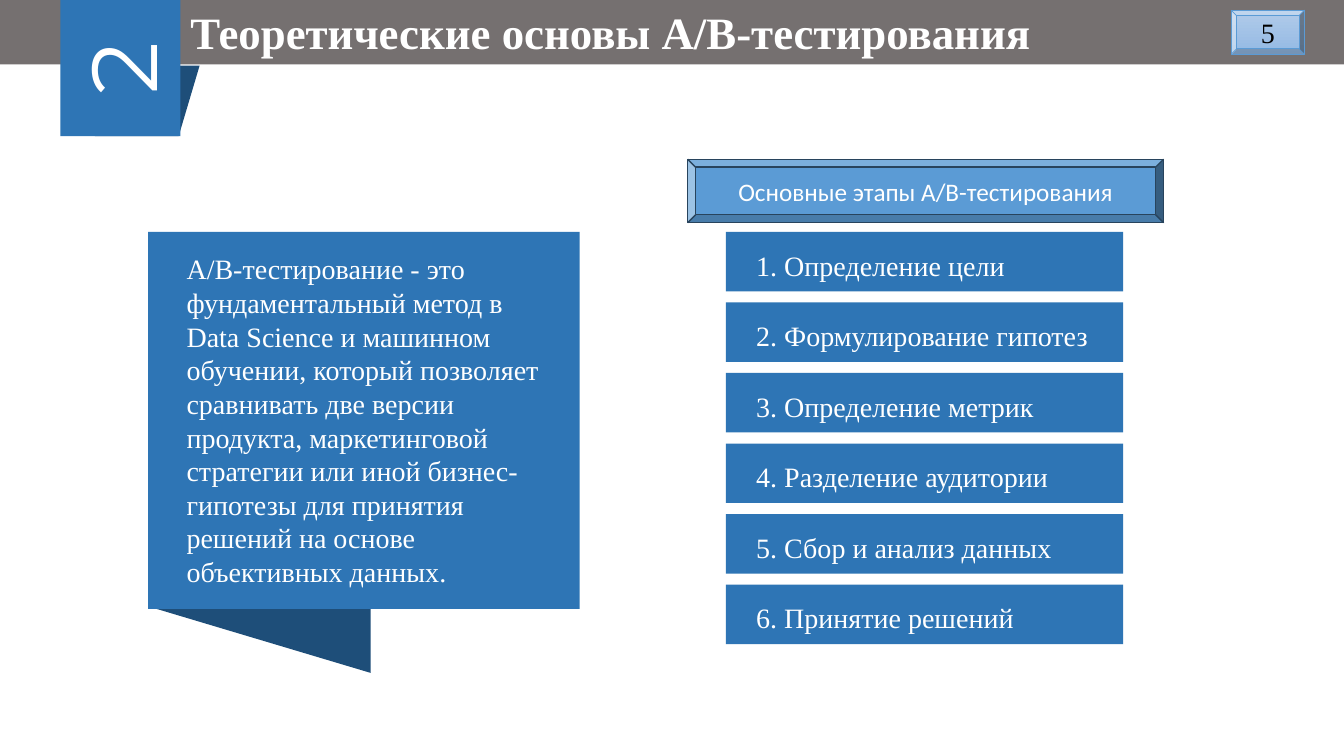
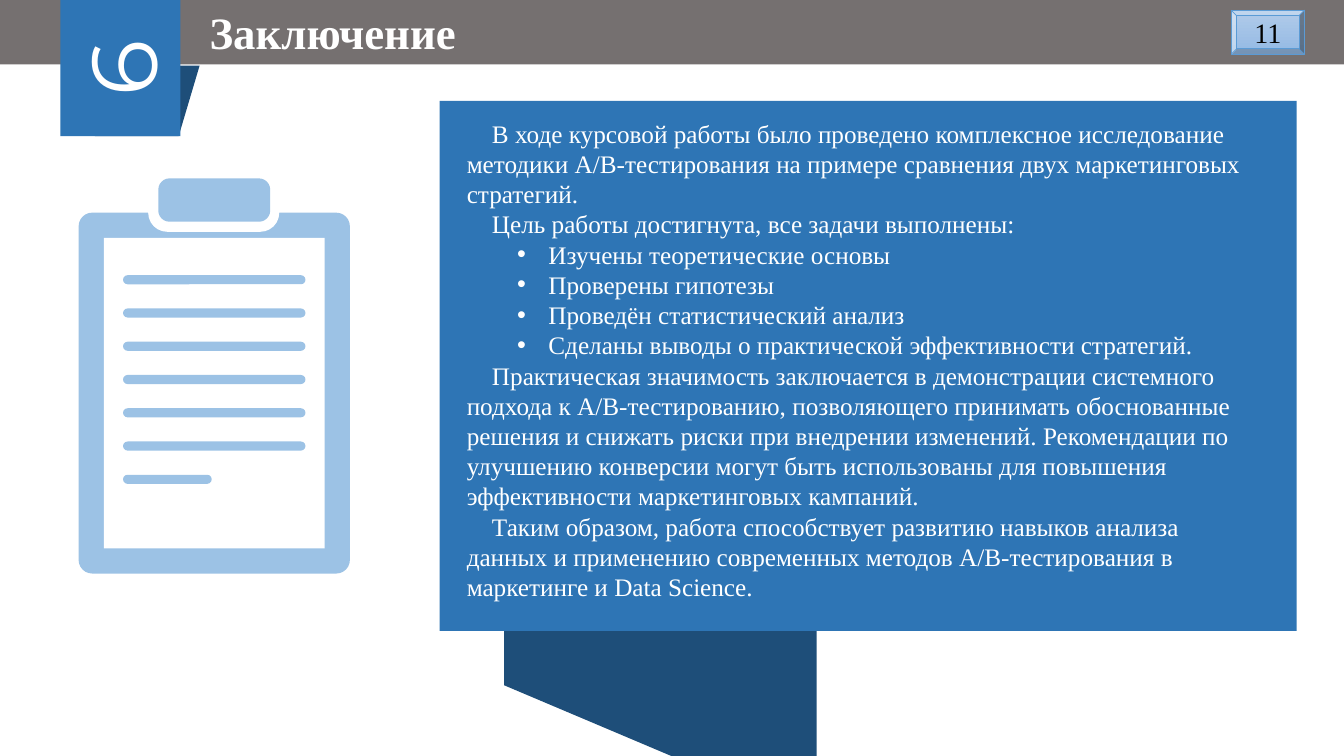
import pptx
import pptx.util
import pptx.dml.color
import pptx.enum.shapes
import pptx.enum.text
import lxml.etree

RGB = pptx.dml.color.RGBColor
KIND = pptx.enum.shapes.MSO_SHAPE
ALIGN = pptx.enum.text.PP_ALIGN
ANCHOR = pptx.enum.text.MSO_ANCHOR

SCALE = 9144
WIDE, HIGH = 1333, 750

WHITE = RGB(0xFF, 0xFF, 0xFF)
BLACK = RGB(0x00, 0x00, 0x00)
GREY = RGB(0x75, 0x70, 0x70)
BLUE = RGB(0x2E, 0x75, 0xB5)
DARK = RGB(0x1E, 0x4E, 0x79)
MID = RGB(0x5B, 0x9B, 0xD5)
EDGE = RGB(0x28, 0x44, 0x5D)
PALE = RGB(0x9C, 0xC2, 0xE5)
FADE = RGB(0xB1, 0xCB, 0xE9), RGB(0x93, 0xB9, 0xE4)

SERIF = "Times New Roman"
HEAD = dict(name=SERIF, size=32, color=WHITE, bold=True)
BODY = dict(name=SERIF, size=20, color=WHITE)
SMALL = dict(name=SERIF, size=18, color=WHITE)
LABEL = dict(name="Calibri", size=18, color=WHITE)
DIGIT = dict(name="Montserrat", size=66, color=WHITE)
PAGE = dict(name=SERIF, size=20, color=BLACK)

CENTER = dict(alignment=ALIGN.CENTER)
LOOSE = dict(line_spacing=1.2)
FIRST = dict(marL=0, indent=25)
POINT = dict(marL=81, indent=-31)

BASICS = dict(
    title="Теоретические основы A/B-тестирования", left=179, digit="2", page="5")
THEORY = (
    "A/B-тестирование - это фундаментальный метод в Data Science и машинном "
    "обучении, который позволяет сравнивать две версии продукта, маркетинговой "
    "стратегии или иной бизнес-гипотезы для принятия решений на основе "
    "объективных данных.")
STAGES = "Основные этапы A/B-тестирования"
STEPS = [
    "Определение цели",
    "Формулирование гипотез",
    "Определение метрик",
    "Разделение аудитории",
    "Сбор и анализ данных",
    "Принятие решений",
]

CLOSING = dict(title="Заключение", left=198, digit="6", page="11")
RESULTS = [
    (FIRST, "В ходе курсовой работы было проведено комплексное исследование "
            "методики A/B-тестирования на примере сравнения двух маркетинговых "
            "стратегий."),
    (FIRST, "Цель работы достигнута, все задачи выполнены:"),
    (POINT, "Изучены теоретические основы"),
    (POINT, "Проверены гипотезы"),
    (POINT, "Проведён статистический анализ"),
    (POINT, "Сделаны выводы о практической эффективности стратегий."),
    (FIRST, "Практическая значимость заключается в демонстрации системного "
            "подхода к A/B-тестированию, позволяющего принимать обоснованные "
            "решения и снижать риски при внедрении изменений. Рекомендации по "
            "улучшению конверсии могут быть использованы для повышения "
            "эффективности маркетинговых кампаний."),
    (FIRST, "Таким образом, работа способствует развитию навыков анализа данных "
            "и применению современных методов A/B-тестирования в маркетинге и "
            "Data Science."),
]

CLIP = [
    (KIND.ROUNDED_RECTANGLE, (78, 211, 269, 358), PALE, 0.05),
    (KIND.RECTANGLE, (103, 236, 219, 308), WHITE, None),
    (KIND.ROUNDED_RECTANGLE, (147, 167, 130, 63), WHITE, 0.3),
    (KIND.ROUNDED_RECTANGLE, (157, 177, 111, 43), PALE, 0.26),
]
LINES = [181] * 6 + [88]


def px(value):
    return pptx.util.Emu(round(value * SCALE))


def shape(slide, kind, box, fill, turn=0, curve=None, line=None):
    item = slide.shapes.add_shape(kind, *map(px, box))
    item.shadow.inherit = False
    item.rotation = turn
    if curve is not None:
        item.adjustments[0] = curve
    if isinstance(fill, tuple) and not isinstance(fill, RGB):
        item.fill.gradient()
        item.fill.gradient_angle = 270
        for stop, color in zip(item.fill.gradient_stops, fill):
            stop.color.rgb = color
    else:
        item.fill.solid()
        item.fill.fore_color.rgb = fill
    if line:
        item.line.color.rgb = line[0]
        item.line.width = pptx.util.Pt(line[1])
    else:
        item.line.fill.background()
    return item


def style(font, look):
    for key, value in look.items():
        if key == "color":
            font.color.rgb = value
        else:
            setattr(font, key, pptx.util.Pt(value) if key == "size" else value)


def indent(para, rule):
    props = para._p.get_or_add_pPr()
    for key, value in rule.items():
        props.set(key, str(px(value)))
    if rule is POINT:
        space = "{http://schemas.openxmlformats.org/drawingml/2006/main}"
        lxml.etree.SubElement(props, space + "buFont", typeface="Arial")
        lxml.etree.SubElement(props, space + "buChar", char="•")


def write(item, rows, look, form=None, inset=(10, 5, 10, 5), anchor=ANCHOR.MIDDLE):
    frame = item.text_frame
    frame.word_wrap = True
    frame.vertical_anchor = anchor
    for side, value in zip(("left", "top", "right", "bottom"), inset):
        setattr(frame, "margin_" + side, px(value))
    for index, (rule, text) in enumerate(rows):
        para = frame.add_paragraph() if index else frame.paragraphs[0]
        for key, value in {"alignment": ALIGN.LEFT, **(form or {})}.items():
            setattr(para, key, value)
        indent(para, rule)
        run = para.add_run()
        run.text = text
        style(run.font, look)


def plain(text):
    return [({}, text)]


def start(deck, title, left, digit, page):
    slide = deck.slides.add_slide(deck.slide_layouts[6])
    shape(slide, KIND.RECTANGLE, (0, 0, WIDE, 64), GREY)
    shape(slide, KIND.FLOWCHART_DATA, (94, 65, 104, 70), DARK, 180)
    tab = shape(slide, KIND.RECTANGLE, (52, 8, 135, 119), BLUE, 270)
    write(tab, plain(digit), DIGIT, CENTER)
    head = slide.shapes.add_textbox(*map(px, (left, 0, 870, 64)))
    write(head, plain(title), HEAD, anchor=ANCHOR.TOP)
    badge = shape(slide, KIND.BEVEL, (1221, 10, 73, 44), FADE, line=(MID, 0.5))
    write(badge, plain(page), PAGE, CENTER)
    return slide


def panel(slide, tail, box, rows, look, inset):
    shape(slide, KIND.FLOWCHART_DATA, tail, DARK, 270)
    card = shape(slide, KIND.RECTANGLE, box, BLUE)
    write(card, rows, look, inset=inset, anchor=ANCHOR.TOP)


def theory(deck):
    slide = start(deck, **BASICS)
    panel(slide, (93, 393, 329, 220), (147, 230, 428, 374),
          plain(THEORY), BODY, (38, 20, 32, 5))
    sign = shape(slide, KIND.BEVEL, (682, 158, 472, 63), MID, line=(EDGE, 1))
    write(sign, plain(STAGES), LABEL, CENTER)
    for index, step in enumerate(STEPS):
        row = shape(slide, KIND.RECTANGLE, (720, 230 + 70 * index, 394, 59), BLUE)
        write(row, plain(f"{index + 1}. {step}"), BODY, LOOSE, (30, 5, 10, 5))


def closing(deck):
    slide = start(deck, **CLOSING)
    panel(slide, (327, 328, 656, 310), (436, 100, 850, 526),
          RESULTS, SMALL, (27, 17, 31, 5))
    for kind, box, fill, curve in CLIP:
        shape(slide, kind, box, fill, curve=curve)
    for index, width in enumerate(LINES):
        box = (122, 273 + 33 * index, width, 9)
        shape(slide, KIND.ROUNDED_RECTANGLE, box, PALE, curve=0.5)


def main():
    deck = pptx.Presentation()
    deck.slide_width, deck.slide_height = px(WIDE), px(HIGH)
    theory(deck)
    closing(deck)
    deck.save("out.pptx")


if __name__ == "__main__":
    main()
